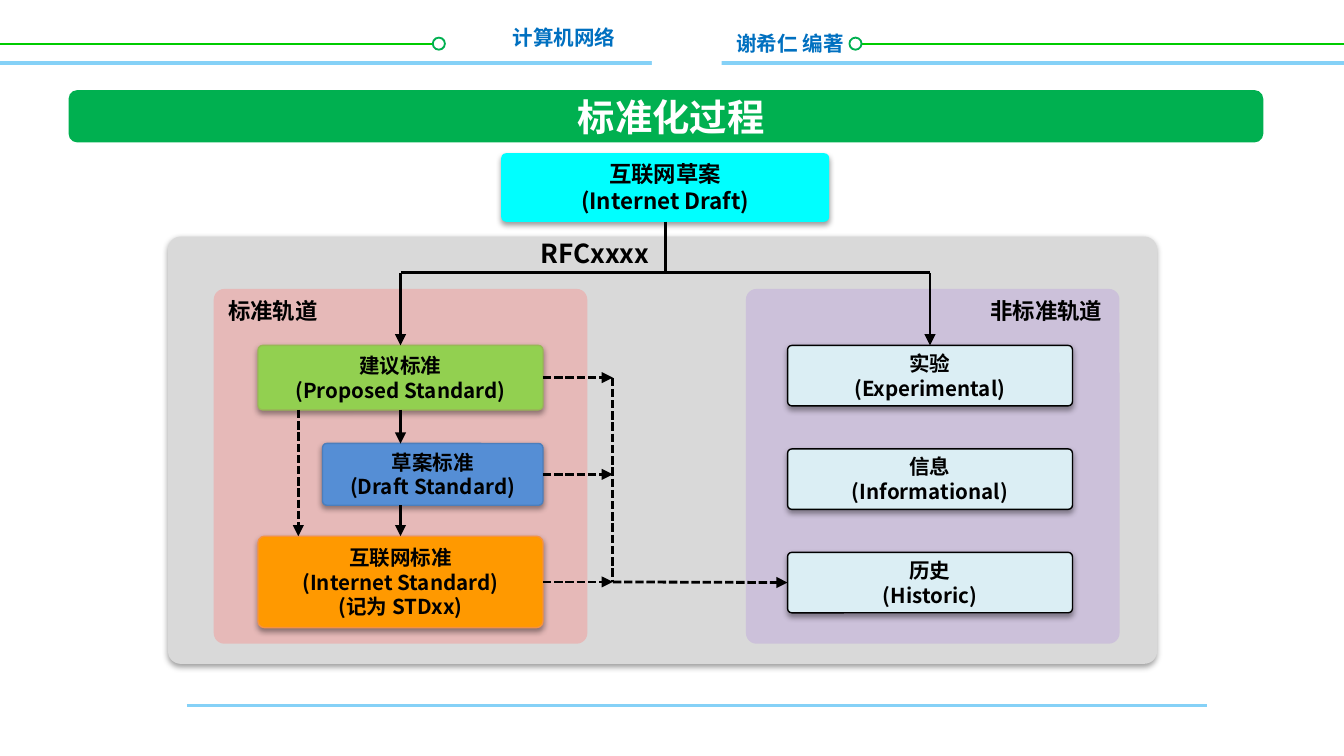
from dataclasses import dataclass

from lxml.etree import SubElement
from pptx import Presentation
from pptx.dml.color import RGBColor
from pptx.enum.dml import MSO_LINE
from pptx.enum.shapes import MSO_CONNECTOR, MSO_SHAPE
from pptx.enum.text import MSO_ANCHOR, PP_ALIGN
from pptx.oxml import parse_xml
from pptx.oxml.ns import nsdecls, qn
from pptx.util import Inches, Pt


@dataclass(frozen=True)
class Theme:
    font: str = "Noto Sans CJK SC"
    black: str = "000000"
    white: str = "FFFFFF"
    heading: str = "0070C0"
    green: str = "00B050"
    bright_green: str = "00CC00"
    sky: str = "85D1F7"
    panel: str = "D9D9D9"
    pink: str = "E6B9B8"
    lilac: str = "CCC1DA"
    cyan: str = "00FFFF"
    lime: str = "92D050"
    lime_edge: str = "98B955"
    blue: str = "558ED5"
    blue_edge: str = "4B7EBC"
    orange: str = "FF9900"
    orange_edge: str = "F69240"
    ice: str = "DBEEF4"
    small: int = 11
    label: int = 12
    rfc: int = 14
    title: int = 20


theme = Theme()
deck = Presentation()
deck.slide_width = Inches(10)
deck.slide_height = Inches(10 * 9 / 16)
page = deck.slides.add_slide(deck.slide_layouts[6])


def add_block(text, left, top, width, height, *, kind=None, fill=None, edge=None,
              edge_width=0.75, corner=None, shadow=False, size=theme.small,
              color=theme.black, align=PP_ALIGN.CENTER, anchor=MSO_ANCHOR.MIDDLE,
              inset=0.04):
    frame = [Inches(value) for value in (left, top, width, height)]
    if kind is None:
        box = page.shapes.add_textbox(*frame)
    else:
        box = page.shapes.add_shape(kind, *frame)
        box.shadow.inherit = False
        box.fill.solid()
        box.fill.fore_color.rgb = RGBColor.from_string(fill)
        if edge:
            box.line.color.rgb = RGBColor.from_string(edge)
            box.line.width = Pt(edge_width)
        else:
            box.line.fill.background()
        if corner is not None:
            box.adjustments[0] = corner
    if shadow:
        effects = box.element.spPr.find(qn("a:effectLst"))
        effects.append(parse_xml(
            f'<a:outerShdw {nsdecls("a")} blurRad="{Pt(3.1)}" dist="{Pt(1.6)}" '
            f'dir="5400000" rotWithShape="0"><a:srgbClr val="{theme.black}">'
            '<a:alpha val="38000"/></a:srgbClr></a:outerShdw>'))
    if text:
        body = box.text_frame
        body.word_wrap = True
        body.vertical_anchor = anchor
        body.margin_left = body.margin_right = Inches(inset)
        body.margin_top = body.margin_bottom = Inches(min(inset, 0.05))
        for index, line_text in enumerate(text.split("\n")):
            para = body.paragraphs[0] if index == 0 else body.add_paragraph()
            para.alignment = align
            span = para.add_run()
            span.text = line_text
            span.font.name = theme.font
            span.font.size = Pt(size)
            span.font.bold = True
            span.font.color.rgb = RGBColor.from_string(color)
        for properties in box.element.iter(qn("a:rPr")):
            SubElement(properties, qn("a:ea"), typeface=theme.font)
    return box


def add_line(start, end, *, color=theme.black, width=1.5, dashed=False, arrow=False,
             begin=None, finish=None):
    line = page.shapes.add_connector(
        MSO_CONNECTOR.STRAIGHT, *[Inches(value) for value in (*start, *end)])
    line.line.color.rgb = RGBColor.from_string(color)
    line.line.width = Pt(width)
    if dashed:
        line.line.dash_style = MSO_LINE.SQUARE_DOT
    if arrow:
        SubElement(line.element.spPr.find(qn("a:ln")), qn("a:tailEnd"), type="triangle")
    SubElement(line.element.spPr, qn("a:effectLst"))
    if begin:
        line.begin_connect(*begin)
    if finish:
        line.end_connect(*finish)


rounded = MSO_SHAPE.ROUNDED_RECTANGLE
plain_text = dict(anchor=MSO_ANCHOR.TOP, inset=0.1)
card = dict(kind=rounded, corner=0.07, shadow=True)

for line_start, line_end, dot_left in ((0, 3.24, 3.22), (6.32, 10, 6.32)):
    add_line((line_start, 0.33), (line_end, 0.33), color=theme.bright_green, width=1)
    add_block("", dot_left, 0.28, 0.09, 0.09, kind=MSO_SHAPE.OVAL,
              fill=theme.white, edge=theme.green, edge_width=1)
add_line((1.39, 5.25), (8.98, 5.25), color=theme.sky)
add_line((0, 0.47), (10, 0.47), color=theme.sky, width=2)
add_block("", 4.85, 0.14, 0.52, 0.51, kind=MSO_SHAPE.RECTANGLE, fill=theme.white)
add_block("计算机网络", 3.71, 0.14, 0.97, 0.29, color=theme.heading,
          align=PP_ALIGN.RIGHT, **plain_text)
add_block("谢希仁 编著", 5.38, 0.18, 1.16, 0.29, color=theme.heading,
          align=PP_ALIGN.LEFT, **plain_text)

add_block("", 0.51, 0.67, 8.89, 0.39, kind=rounded, corner=0.17, fill=theme.green)
add_block("标准化过程", 1.37, 0.67, 7.25, 0.39, size=theme.title, color=theme.white)

add_block("", 1.25, 1.76, 7.36, 3.18, kind=rounded, corner=0.03,
          fill=theme.panel, shadow=True)
for track_left, track_fill in ((1.59, theme.pink), (5.55, theme.lilac)):
    add_block("", track_left, 2.15, 2.78, 2.64, kind=rounded, corner=0.03, fill=track_fill)
add_block("RFCxxxx", 3.43, 1.72, 1.5, 0.34, size=theme.rfc,
          align=PP_ALIGN.RIGHT, **plain_text)
add_block("标准轨道", 1.6, 2.16, 0.99, 0.3, size=theme.label,
          align=PP_ALIGN.LEFT, **plain_text)
add_block("非标准轨道", 7.11, 2.16, 1.19, 0.3, size=theme.label,
          align=PP_ALIGN.RIGHT, **plain_text)

internet_draft = add_block("互联网草案\n(Internet Draft)", 3.73, 1.14, 2.44, 0.51,
                           fill=theme.cyan, size=theme.label, **card)
proposed = add_block("建议标准\n(Proposed Standard)", 1.92, 2.57, 2.12, 0.48,
                     fill=theme.lime, edge=theme.lime_edge, **card)
draft_standard = add_block("草案标准\n(Draft Standard)", 2.4, 3.3, 1.64, 0.46,
                           fill=theme.blue, edge=theme.blue_edge, **card)
internet_standard = add_block("互联网标准\n(Internet Standard)\n(记为 STDxx)",
                              1.92, 3.99, 2.12, 0.68, fill=theme.orange,
                              edge=theme.orange_edge, **card)
experimental, informational, historic = [
    add_block(name, 5.86, 2.57 + 0.77 * row, 2.12, 0.45,
              fill=theme.ice, edge=theme.black, **card)
    for row, name in enumerate(
        ("实验\n(Experimental)", "信息\n(Informational)", "历史\n(Historic)"))]

standard_x, other_x, branch_y = 2.98, 6.92, 2.03
add_line((4.95, 1.65), (4.95, branch_y), begin=(internet_draft, 2))
add_line((other_x, branch_y), (standard_x, branch_y))
add_line((standard_x, branch_y), (standard_x, 2.57), arrow=True, finish=(proposed, 0))
add_line((other_x, branch_y), (other_x, 2.57), arrow=True, finish=(experimental, 0))
add_line((standard_x, 3.05), (standard_x, 3.3), arrow=True, begin=(proposed, 2))
add_line((standard_x, 3.76), (standard_x, 3.99), arrow=True, finish=(internet_standard, 0))
add_line((2.22, 3.05), (2.22, 3.99), dashed=True, arrow=True)

merge_x, historic_y = 4.56, 4.33
for source, source_y in ((proposed, 2.81), (draft_standard, 3.53),
                         (internet_standard, historic_y)):
    add_line((4.04, source_y), (merge_x, source_y), dashed=True, arrow=True,
             begin=(source, 3))
add_line((merge_x, 2.81), (merge_x, historic_y), dashed=True)
add_line((merge_x, historic_y), (5.86, historic_y), dashed=True, arrow=True,
         finish=(historic, 1))

deck.save("out.pptx")
